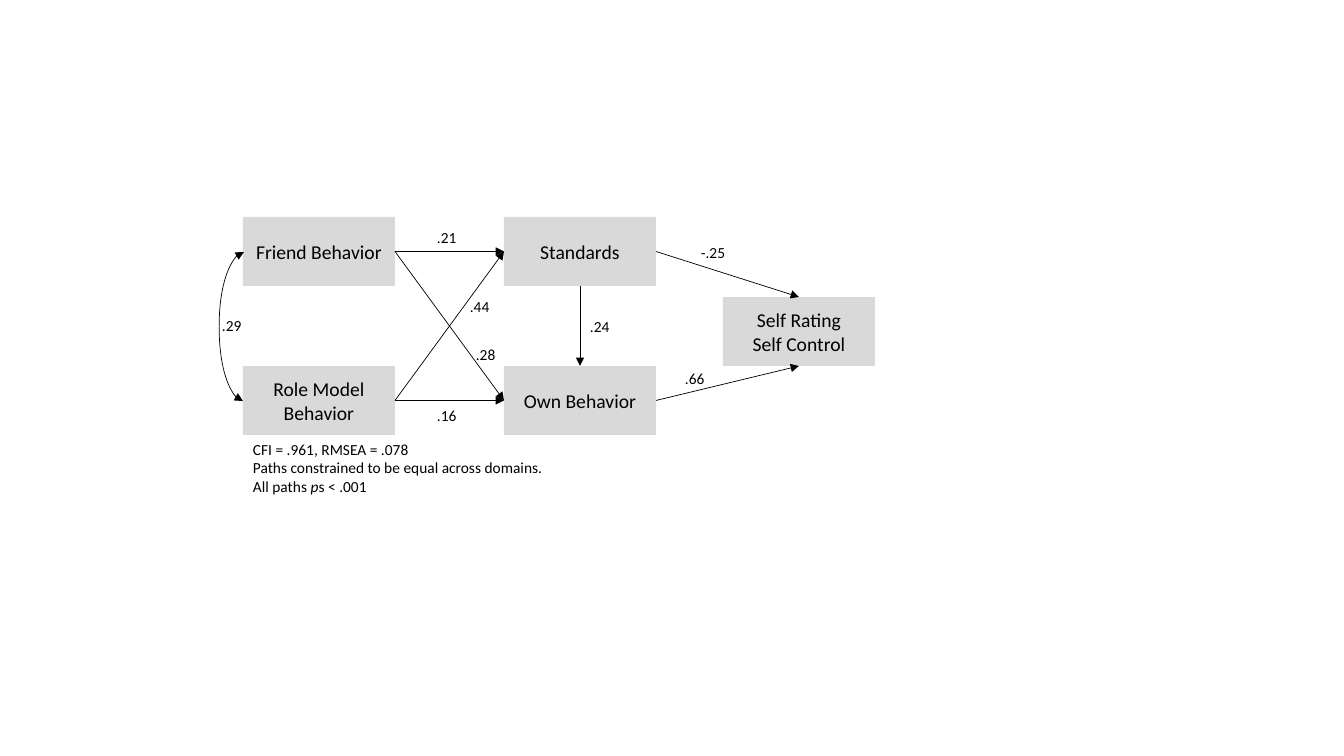
from dataclasses import dataclass

from lxml import etree
from pptx import Presentation
from pptx.dml.color import RGBColor
from pptx.enum.shapes import MSO_CONNECTOR, MSO_SHAPE
from pptx.enum.text import MSO_ANCHOR, MSO_AUTO_SIZE, PP_ALIGN
from pptx.oxml.ns import qn
from pptx.util import Emu, Pt

RECT = MSO_SHAPE.RECTANGLE
LINE, CURVE = MSO_CONNECTOR.STRAIGHT, MSO_CONNECTOR.CURVE
LEFT, CENTER = PP_ALIGN.LEFT, PP_ALIGN.CENTER
TOP_TEXT, MIDDLE = MSO_ANCHOR.TOP, MSO_ANCHOR.MIDDLE
GROW = MSO_AUTO_SIZE.SHAPE_TO_FIT_TEXT

TOP, WEST, BOTTOM, EAST = range(4)
BOX_W, BOX_H = 152, 69
TAG_W, TAG_H = 40, 29


@dataclass(frozen=True)
class Theme:
    font: str = "Calibri"
    ink: RGBColor = RGBColor(0, 0, 0)
    gray: RGBColor = RGBColor(0xD9, 0xD9, 0xD9)
    body: int = 14
    small: int = 11
    rule: float = 0.5


THEME = Theme()


def px(n):
    return Emu(round(n * 914400 / 100.8))


def write(frame, lines, size=THEME.small, align=LEFT, anchor=TOP_TEXT, wrap=False):
    """Each line is a list of (text, italic) runs, or a plain string."""
    frame.word_wrap = wrap
    frame.vertical_anchor = anchor
    for i, line in enumerate(lines):
        para = frame.paragraphs[0] if i == 0 else frame.add_paragraph()
        para.alignment = align
        for text, slant in [(line, False)] if isinstance(line, str) else line:
            run = para.add_run()
            run.text = text
            font = run.font
            font.name, font.size, font.italic = THEME.font, Pt(size), slant
            font.color.rgb = THEME.ink


def box(slide, x, y, *lines):
    shape = slide.shapes.add_shape(RECT, px(x), px(y), px(BOX_W), px(BOX_H))
    shape.shadow.inherit = False
    shape.fill.solid()
    shape.fill.fore_color.rgb = THEME.gray
    shape.line.fill.background()
    write(shape.text_frame, lines, size=THEME.body, align=CENTER,
          anchor=MIDDLE, wrap=True)
    return shape


def label(slide, x, y, *lines, w=TAG_W, h=TAG_H):
    shape = slide.shapes.add_textbox(px(x), px(y), px(w), px(h))
    write(shape.text_frame, lines)
    shape.text_frame.auto_size = GROW


def style(link, ends):
    link.line.color.rgb = THEME.ink
    link.line.width = Pt(THEME.rule)
    props = link.element.spPr
    for end in ends:
        etree.SubElement(props.find(qn("a:ln")), qn(f"a:{end}"), type="triangle")
    etree.SubElement(props, qn("a:effectLst"))


def arrow(slide, start, side, goal, port):
    link = slide.shapes.add_connector(LINE, 0, 0, 0, 0)
    link.begin_connect(start, side)
    link.end_connect(goal, port)
    style(link, ["tailEnd"])


def bow(slide, x, y, x2, y2, depth):
    """Two-headed curve that bulges left of its start by depth."""
    link = slide.shapes.add_connector(CURVE, px(x), px(y), px(x2), px(y2))
    style(link, ["headEnd", "tailEnd"])
    bend = depth * 100000 // (x - x2)
    guides = link.element.spPr.find(qn("a:prstGeom")).get_or_add_avLst()
    etree.SubElement(guides, qn("a:gd"), name="adj1", fmla=f"val {bend}")


def main():
    deck = Presentation()
    deck.slide_width, deck.slide_height = px(1344), px(756)
    slide = deck.slides.add_slide(deck.slide_layouts[6])

    # Variables of the model
    friend = box(slide, 243, 217, "Friend Behavior")
    model = box(slide, 243, 366, "Role Model Behavior")
    norms = box(slide, 504, 217, "Standards")
    own = box(slide, 504, 366, "Own Behavior")
    rating = box(slide, 723, 297, "Self Rating", "Self Control")

    # Paths
    for cause in (friend, model):
        for effect in (norms, own):
            arrow(slide, cause, EAST, effect, WEST)
    arrow(slide, norms, BOTTOM, own, TOP)
    arrow(slide, norms, EAST, rating, TOP)
    arrow(slide, own, EAST, rating, BOTTOM)
    bow(slide, 244, 252, 243, 401, depth=25)

    # Path weights
    label(slide, 691, 238, "-.25", w=45)
    for x, y, value in [
        (675, 364, ".66"), (580, 312, ".24"), (427, 223, ".21"),
        (427, 401, ".16"), (460, 292, ".44"), (466, 340, ".28"),
        (212, 311, ".29"),
    ]:
        label(slide, x, y, value)

    # Fit of the model
    label(slide, 243, 435, "CFI = .961, RMSEA = .078",
          "Paths constrained to be equal across domains.",
          [("All paths ", False), ("p", True), ("s < .001", False)],
          w=320, h=66)

    deck.save("out.pptx")


if __name__ == "__main__":
    main()
